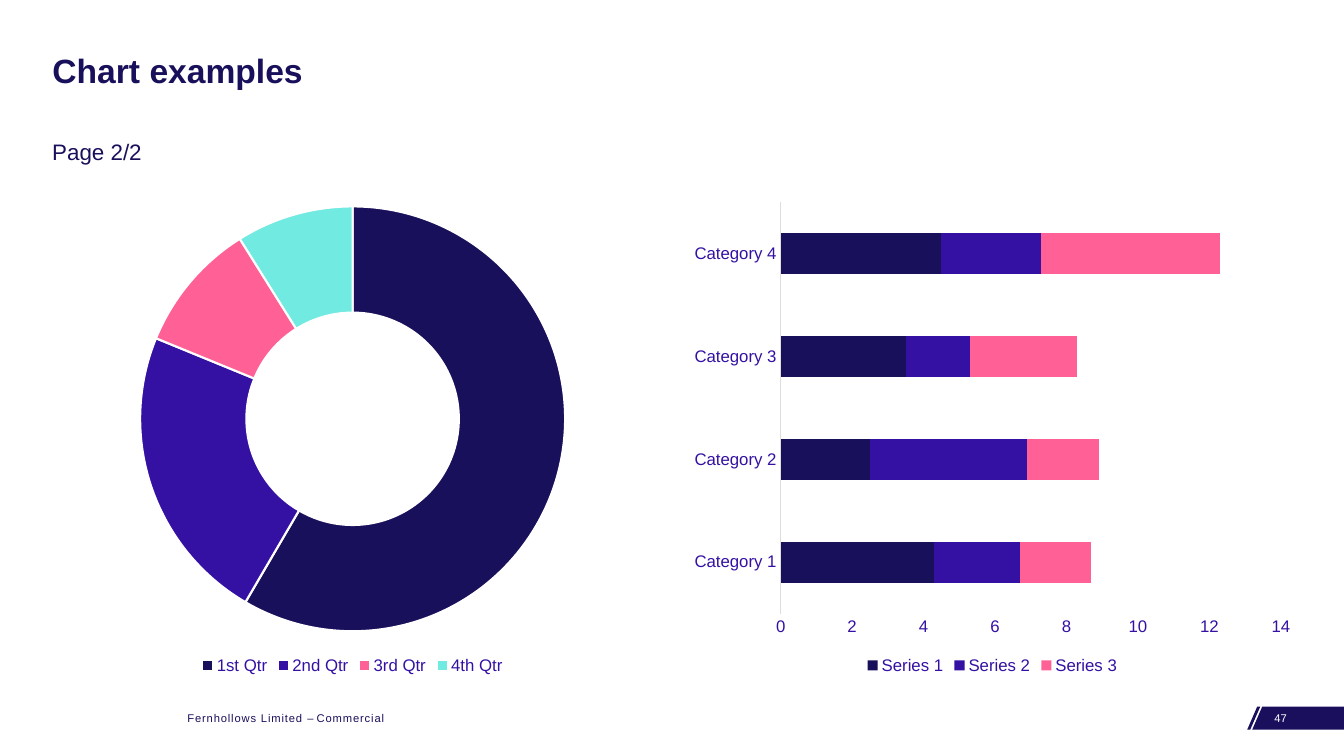
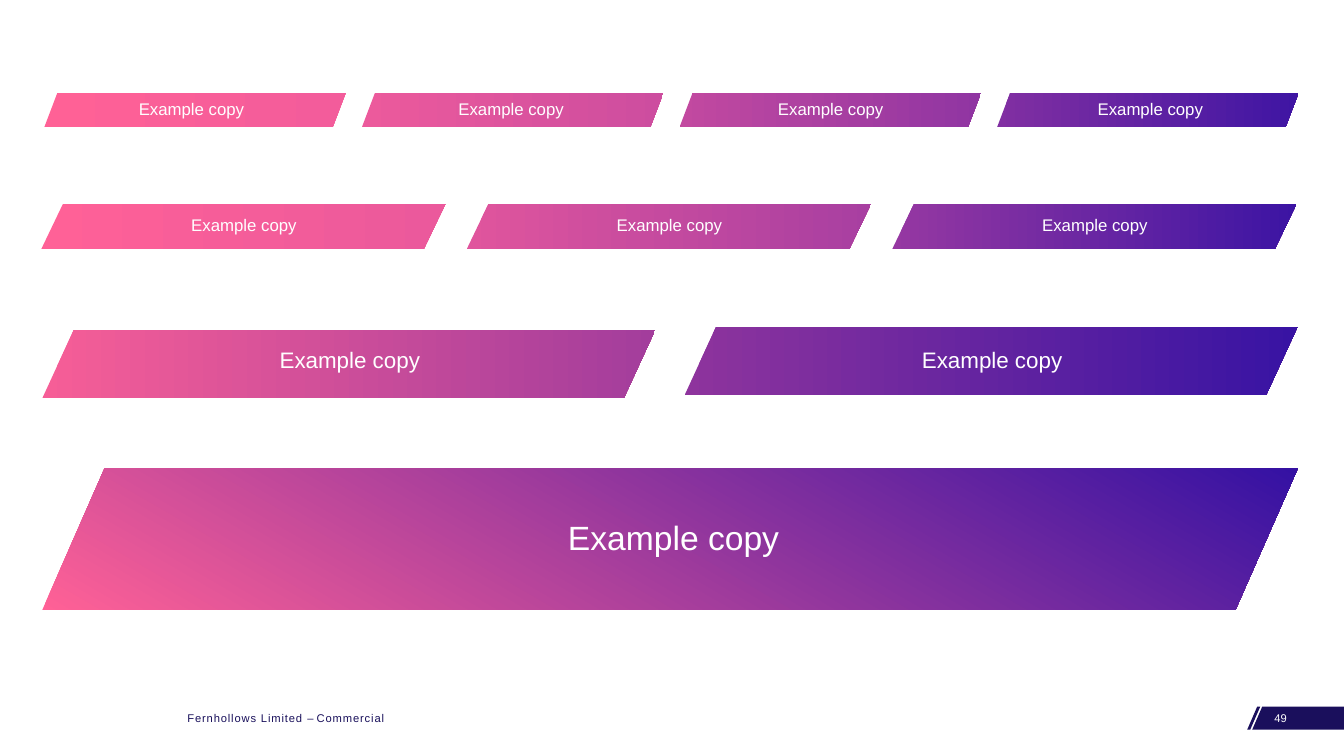
from dataclasses import dataclass

from pptx import Presentation, util as u
from pptx.chart.data import CategoryChartData
from pptx.dml.color import RGBColor
from pptx.enum import chart as charts, shapes, text

# Shared look
FONT = "Arial"
WIDTH, HEIGHT = 13.33, 7.5
NAVY, INDIGO, PINK, AQUA = "19105B", "3411A3", "FF6196", "71EAE1"
WHITE, GREY, TAG_NAVY = "FFFFFF", "DEDCDC", "1A0F5C"

# Content grid: two columns between equal margins
MARGIN, CONTENT, GUTTER = 0.42, 12.5, 0.19
COLUMN = (CONTENT - GUTTER) / 2
FOOTER_TOP, FOOTER_HEIGHT = 7.01, 0.24


@dataclass(frozen=True)
class Box:
    left: float
    top: float
    width: float
    height: float

    def emu(self) -> list:
        return [u.Inches(n) for n in (self.left, self.top, self.width, self.height)]


@dataclass(frozen=True)
class Band:
    """A row of slanted bars; each bar has a (start, end) gradient."""
    first: Box
    step: float
    slant: float
    label: Box
    label_step: float
    size: int
    gradients: tuple
    angle: int = 0
    rise: float = 0


BANDS = (
    Band(Box(0.44, 0.92, 2.99, 0.34), 3.15, 0.38,
         Box(0.42, 0.92, 2.96, 0.34), 3.17, 12,
         ((PINK, "F35C9B"), ("EC5A9C", "CD4D9F"),
          ("C249A0", "9035A2"), ("812FA2", "3F15A3"))),
    Band(Box(0.41, 2.02, 4.01, 0.45), 4.22, 0.48,
         Box(0.42, 2.02, 4, 0.45), 4.22, 12,
         (("FF6197", "EB599C"), ("E0559D", "A83FA1"), ("9638A2", "3C14A3"))),
    Band(Box(0.42, 3.27, 6.08, 0.68), 6.37, 0.46,
         Box(0.42, 3.24, 6.1, 0.68), 6.37, 16,
         (("F65E97", "A33D9C"), ("8E349D", "3813A3")), rise=0.03),
    Band(Box(0.42, 4.65, 12.45, 1.4), 0, 0.44,
         Box(0.42, 4.65, 12.52, 1.4), 0, 24,
         ((PINK, INDIGO),), angle=60),
)


def colour(code: str) -> RGBColor:
    return RGBColor.from_string(code)


def style_font(font, size: float, code: str, bold: bool = False) -> None:
    font.name, font.size, font.bold = FONT, u.Pt(size), bold
    font.color.rgb = colour(code)


def format_text(shape, words: str, size: float, code: str, bold: bool = False,
                align=text.PP_ALIGN.LEFT, anchor=text.MSO_ANCHOR.MIDDLE) -> None:
    frame = shape.text_frame
    frame.text = words
    frame.word_wrap = True
    frame.auto_size = text.MSO_AUTO_SIZE.NONE
    frame.vertical_anchor = anchor
    para = frame.paragraphs[0]
    para.alignment, para.line_spacing = align, 0.9
    for span in para.runs:
        style_font(span.font, size, code, bold)


def add_text(page, box: Box, words: str, size: float, code: str, **options):
    shape = page.shapes.add_textbox(*box.emu())
    format_text(shape, words, size, code, **options)
    return shape


# Footer: slanted page tag, owner line and page number
def add_footer(page, number: int) -> None:
    bottom = FOOTER_TOP + 0.23
    outlines = (
        ((12.5, FOOTER_TOP), (12.47, FOOTER_TOP), (12.37, bottom), (12.4, bottom)),
        ((WIDTH, FOOTER_TOP), (12.52, FOOTER_TOP), (12.42, bottom), (WIDTH, bottom)),
    )
    stripe, block = [[(u.Inches(x), u.Inches(y)) for x, y in outline]
                     for outline in outlines]
    builder = page.shapes.build_freeform(*stripe[0])
    builder.add_line_segments(stripe[1:])
    builder.move_to(*block[0])
    builder.add_line_segments(block[1:])
    tag = builder.convert_to_shape()
    tag.shadow.inherit = False
    tag.fill.solid()
    tag.fill.fore_color.rgb = colour(TAG_NAVY)
    tag.line.fill.background()

    owner = add_text(page, Box(1.76, FOOTER_TOP, 2.19, FOOTER_HEIGHT), "", 8, NAVY,
                     anchor=text.MSO_ANCHOR.TOP)
    para = owner.text_frame.paragraphs[0]
    para.line_spacing = 1.0
    for words, spacing in (("Fernhollows Limited ", 60), ("– ", 0), ("Commercial", 60)):
        span = para.add_run()
        span.text = words
        style_font(span.font, 8, NAVY)
        span.font._element.set("spc", str(spacing))

    label = add_text(page, Box(12.54, FOOTER_TOP, 0.62, FOOTER_HEIGHT), str(number),
                     8, WHITE, anchor=text.MSO_ANCHOR.TOP)
    label.text_frame.paragraphs[0].line_spacing = 1.0


# Charts
def add_chart(page, column: int, kind, categories: tuple, series: dict):
    data = CategoryChartData()
    data.categories = categories
    for name, values in series.items():
        data.add_series(name, values)
    box = Box(MARGIN + column * (COLUMN + GUTTER), 1.91, COLUMN, 4.82)
    chart = page.shapes.add_chart(kind, *box.emu(), data).chart
    chart.has_title = False
    style_font(chart.font, 12, INDIGO)
    chart.has_legend = True
    chart.legend.position = charts.XL_LEGEND_POSITION.BOTTOM
    chart.legend.include_in_layout = False
    style_font(chart.legend.font, 12, INDIGO)
    return chart


def add_doughnut(page) -> None:
    chart = add_chart(page, 0, charts.XL_CHART_TYPE.DOUGHNUT,
                      ("1st Qtr", "2nd Qtr", "3rd Qtr", "4th Qtr"),
                      {"Series 1": (59, 23, 10, 9)})
    for hole in chart.element.xpath(".//c:holeSize"):
        hole.set("val", "75")
    ring = chart.plots[0].series[0]
    for index, code in enumerate((NAVY, INDIGO, PINK, AQUA)):
        look = ring.points[index].format
        look.fill.solid()
        look.fill.fore_color.rgb = colour(code)
        look.line.color.rgb = colour(WHITE)
        look.line.width = u.Pt(1.5)


def add_stacked_bars(page) -> None:
    chart = add_chart(page, 1, charts.XL_CHART_TYPE.BAR_STACKED,
                      tuple(f"Category {n}" for n in range(1, 5)),
                      {"Series 1": (4.3, 2.5, 3.5, 4.5),
                       "Series 2": (2.4, 4.4, 1.8, 2.8),
                       "Series 3": (2, 2, 3, 5)})
    plot = chart.plots[0]
    plot.gap_width, plot.overlap, plot.vary_by_categories = 150, 100, False
    for series, code in zip(plot.series, (NAVY, INDIGO, PINK)):
        series.format.fill.solid()
        series.format.fill.fore_color.rgb = colour(code)
    for axis in (chart.category_axis, chart.value_axis):
        axis.has_major_gridlines = False
        axis.major_tick_mark = axis.minor_tick_mark = charts.XL_TICK_MARK.NONE
        style_font(axis.tick_labels.font, 12, INDIGO)
    chart.category_axis.format.line.color.rgb = colour(GREY)
    chart.category_axis.format.line.width = u.Pt(0.75)
    chart.value_axis.format.line.fill.background()


# Gradient bars with centred labels
def add_band(page, band: Band) -> None:
    for index, gradient in enumerate(band.gradients):
        first, label = band.first, band.label
        box = Box(first.left + index * band.step, first.top - index * band.rise,
                  first.width, first.height)
        bar = page.shapes.add_shape(shapes.MSO_SHAPE.PARALLELOGRAM, *box.emu())
        bar.adjustments[0] = band.slant
        bar.shadow.inherit = False
        bar.line.fill.background()
        bar.fill.gradient()
        bar.fill.gradient_angle = band.angle
        for stop, code, position in zip(bar.fill.gradient_stops, gradient, (0, 1)):
            stop.color.rgb = colour(code)
            stop.position = position
        add_text(page, Box(label.left + index * band.label_step, label.top,
                           label.width, label.height),
                 "Example copy", band.size, WHITE, align=text.PP_ALIGN.CENTER)


def build_chart_page(deck) -> None:
    page = deck.slides.add_slide(deck.slide_layouts[5])
    add_footer(page, 47)
    title = page.shapes.title
    title.left, title.top, title.width, title.height = Box(MARGIN, 0.2, CONTENT, 1.05).emu()
    format_text(title, "Chart examples", 24, NAVY, bold=True)
    add_text(page, Box(MARGIN, 1.28, CONTENT, 0.49), "Page 2/2", 16, NAVY)
    add_doughnut(page)
    add_stacked_bars(page)


def build_band_page(deck) -> None:
    page = deck.slides.add_slide(deck.slide_layouts[6])
    add_footer(page, 49)
    for band in BANDS:
        add_band(page, band)


def main() -> None:
    deck = Presentation()
    deck.slide_width, deck.slide_height = u.Inches(WIDTH), u.Inches(HEIGHT)
    build_chart_page(deck)
    build_band_page(deck)
    deck.save("out.pptx")


if __name__ == "__main__":
    main()
